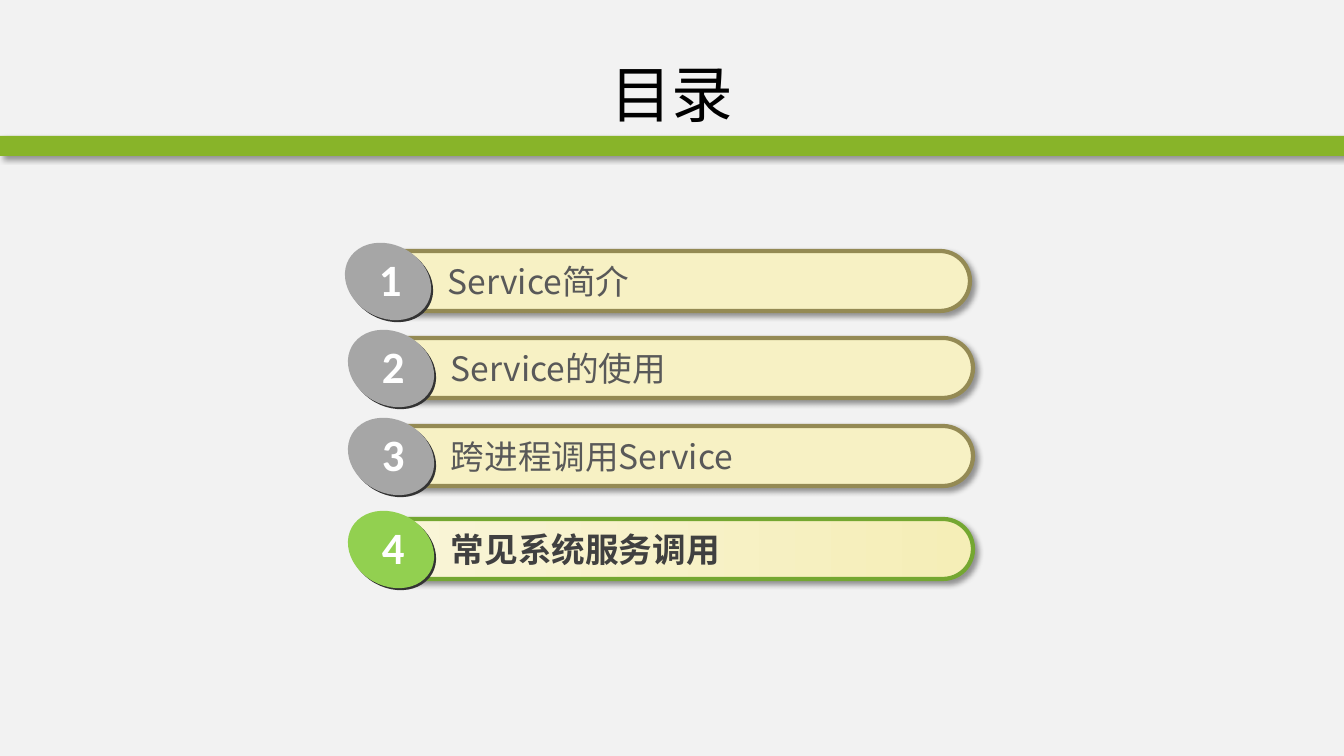
"""Build the contents slide with four numbered entries."""
import pptx
import pptx.dml.color
import pptx.enum.shapes
import pptx.enum.text
import pptx.oxml
import pptx.oxml.ns
import pptx.util

TITLE = "目录"
ENTRIES = [
    {"text": "Service简介", "left": 365, "top": 251, "active": False},
    {"text": "Service的使用", "left": 368, "top": 338, "active": False},
    {"text": "跨进程调用Service", "left": 368, "top": 426, "active": False},
    {"text": "常见系统服务调用", "left": 368, "top": 519, "active": True},
]
COLORS = {
    "background": "F2F2F2", "band": "88B429", "title": "000000",
    "bar": "F7F1C4", "bar_start": "F9F5D9", "bar_end": "F5EEB7",
    "border": "948A54", "active_border": "74A731",
    "badge": "A6A6A6", "active_badge": "92D050", "badge_edge": "333333",
    "number": "FFFFFF", "label": "595959", "active_label": "404040",
}
CHINESE_FONT = "Noto Sans CJK SC"
FORMATS = {
    "title": {"name": CHINESE_FONT, "size": pptx.util.Pt(44), "bold": False},
    "label": {"name": CHINESE_FONT, "size": pptx.util.Pt(24), "bold": False},
    "active_label": {"name": CHINESE_FONT, "size": pptx.util.Pt(24), "bold": True},
    "number": {"name": "Calibri", "size": pptx.util.Pt(32), "bold": True},
}
SLIDE_WIDTH, SLIDE_HEIGHT = 1344, 756
EMU_PER_PX = 914400 / 100.8
BADGE_ANGLE = 29.3
SHAPES = pptx.enum.shapes.MSO_SHAPE
ANCHOR = pptx.enum.text.MSO_ANCHOR
ALIGN = pptx.enum.text.PP_ALIGN


def px(value):
    return pptx.util.Emu(round(value * EMU_PER_PX))


def rgb(key):
    return pptx.dml.color.RGBColor.from_string(COLORS[key])


def add_shape(slide, kind, box, color):
    shape = slide.shapes.add_shape(kind, *map(px, box))
    shape.shadow.inherit = False
    shape.fill.solid()
    shape.fill.fore_color.rgb = rgb(color)
    shape.line.fill.background()
    return shape


def add_shadow(shape):
    effects = shape.element.spPr.find(pptx.oxml.ns.qn("a:effectLst"))
    effects.append(pptx.oxml.parse_xml(
        f'<a:outerShdw {pptx.oxml.ns.nsdecls("a")} blurRad="50800" dist="38100" '
        'dir="2700000" algn="tl" rotWithShape="0">'
        '<a:srgbClr val="000000"><a:alpha val="40000"/></a:srgbClr></a:outerShdw>'))


def add_text(slide, box, text, style, wrap=True, anchor=ANCHOR.TOP, align=ALIGN.LEFT):
    frame = slide.shapes.add_textbox(*map(px, box)).text_frame
    frame.word_wrap = wrap
    frame.vertical_anchor = anchor
    paragraph = frame.paragraphs[0]
    paragraph.alignment = align
    run = paragraph.add_run()
    run.text = text
    for attribute, value in FORMATS[style].items():
        setattr(run.font, attribute, value)
    run.font.color.rgb = rgb(style)
    east_asian = pptx.oxml.parse_xml(
        f'<a:ea {pptx.oxml.ns.nsdecls("a")} typeface="{FORMATS[style]["name"]}"/>')
    run.font._element.append(east_asian)


def add_entry(slide, number, entry):
    left, top, active = entry["left"], entry["top"], entry["active"]
    prefix = "active_" if active else ""
    bar = add_shape(slide, SHAPES.ROUNDED_RECTANGLE, (left, top, 605, 60), "bar")
    bar.adjustments[0] = 0.5
    if active:
        bar.fill.gradient()
        bar.fill.gradient_angle = 0
        for stop, color in zip(bar.fill.gradient_stops, ("bar_start", "bar_end")):
            stop.color.rgb = rgb(color)
    bar.line.color.rgb = rgb(prefix + "border")
    bar.line.width = pptx.util.Pt(3)
    add_shadow(bar)
    add_text(slide, (left + 73, top + 5, 494, 50), entry["text"], prefix + "label")
    for shift, color in ((2, "badge_edge"), (0, prefix + "badge")):
        box = (left - 22 + shift, top - 6 + shift, 90, 73)
        add_shape(slide, SHAPES.OVAL, box, color).rotation = BADGE_ANGLE
    add_text(slide, (left + 4, top - 4, 43, 65), str(number), "number", wrap=False)


def main():
    presentation = pptx.Presentation()
    presentation.slide_width = px(SLIDE_WIDTH)
    presentation.slide_height = px(SLIDE_HEIGHT)
    slide = presentation.slides.add_slide(presentation.slide_layouts[6])
    slide.background.fill.solid()
    slide.background.fill.fore_color.rgb = rgb("background")
    add_shadow(add_shape(slide, SHAPES.RECTANGLE, (0, 136, SLIDE_WIDTH, 20), "band"))
    for number, entry in enumerate(ENTRIES, 1):
        add_entry(slide, number, entry)
    add_text(slide, (67, 30, 1210, 126), TITLE, "title",
             anchor=ANCHOR.MIDDLE, align=ALIGN.CENTER)
    presentation.save("out.pptx")


if __name__ == "__main__":
    main()
